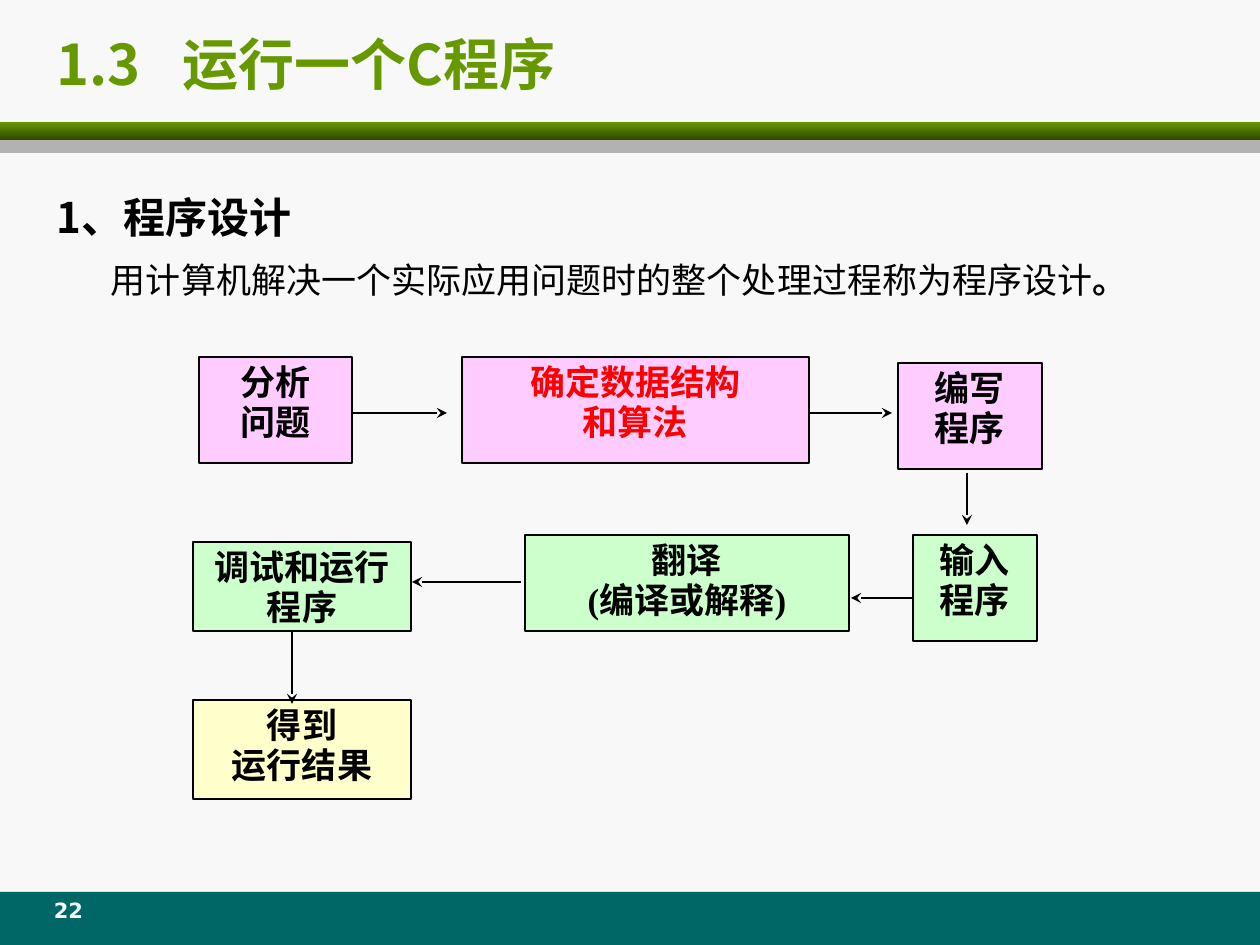
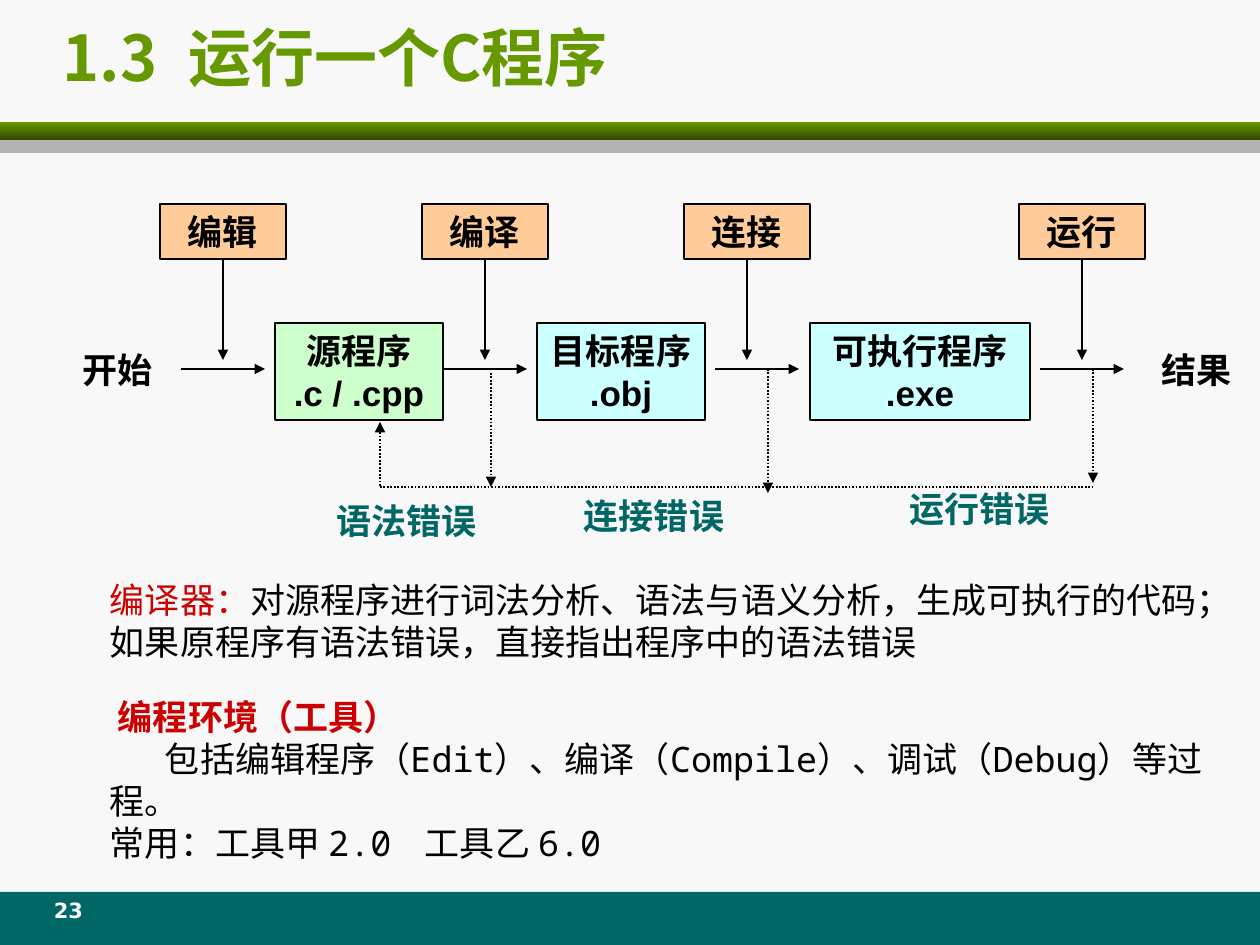
from lxml.etree import SubElement
from pptx import Presentation
from pptx.dml.color import RGBColor
from pptx.enum.dml import MSO_LINE
from pptx.enum.shapes import MSO_CONNECTOR, MSO_SHAPE
from pptx.enum.text import MSO_ANCHOR, MSO_AUTO_SIZE, PP_ALIGN
from pptx.oxml.ns import qn
from pptx.util import Inches, Pt

PX = 7257  # EMU in one px, 126 px to the inch

BLACK = RGBColor(0x00, 0x00, 0x00)
RED = RGBColor(0xFF, 0x00, 0x00)
DARK_RED = RGBColor(0xCC, 0x00, 0x00)
PAPER = RGBColor(0xF8, 0xF8, 0xF8)
TEAL = RGBColor(0x00, 0x66, 0x66)
GREEN = RGBColor(0x66, 0x99, 0x00)
DARK_GREEN = RGBColor(0x2F, 0x46, 0x00)
GREY = RGBColor(0xB2, 0xB2, 0xB2)
PINK = RGBColor(0xFF, 0xCC, 0xFF)
MINT = RGBColor(0xCC, 0xFF, 0xCC)
CREAM = RGBColor(0xFF, 0xFF, 0xCC)
AQUA = RGBColor(0xCC, 0xFF, 0xFF)
ORANGE = RGBColor(0xFF, 0xCC, 0x99)


def write(target, text, at=None, fill=None, border=0.75, inset=13, size=20,
          font="Arial", color=BLACK, bold=True, align=PP_ALIGN.CENTER,
          spacing=1.0, before=0, margin=0, indent=0, tab=None):
    """Add text to a shape, or to a new box on a slide when `at` is given.

    Each line of a string is a paragraph; a list of (text, color, bold)
    makes one paragraph of several runs.
    """
    shape = target
    if at:
        place = [n * PX for n in at]
        if fill is None:
            shape = target.shapes.add_textbox(*place)
        else:
            shape = target.shapes.add_shape(MSO_SHAPE.RECTANGLE, *place)
            shape.shadow.inherit = False
            shape.fill.solid()
            shape.fill.fore_color.rgb = fill
            shape.line.color.rgb = BLACK
            shape.line.width = Pt(border)
        frame = shape.text_frame
        frame.word_wrap = True
        frame.vertical_anchor = MSO_ANCHOR.TOP
        frame.margin_left = frame.margin_right = inset * PX
        frame.margin_top = frame.margin_bottom = 6 * PX
    frame = shape.text_frame
    if isinstance(text, str):
        paragraphs = [[(line, color, bold)] for line in text.split("\n")]
    else:
        paragraphs = [text]
    for runs in paragraphs:
        paragraph = frame.add_paragraph() if frame.text else frame.paragraphs[0]
        properties = paragraph._p.get_or_add_pPr()
        properties.set("marL", str(margin * PX))
        properties.set("indent", str(indent * PX))
        if tab:
            stops = SubElement(properties, qn("a:tabLst"))
            SubElement(stops, qn("a:tab"), pos=str(tab * PX), algn="l")
        paragraph.alignment = align
        paragraph.line_spacing = spacing
        if before:
            paragraph.space_before = Pt(before)
        for words, run_color, run_bold in runs:
            run = paragraph.add_run()
            run.text = words
            run.font.size = Pt(size)
            run.font.name = font
            run.font.bold = run_bold
            run.font.color.rgb = run_color
    return shape


def draw_line(slide, start, end, width=1.0, head="triangle", dotted=False, source=None):
    """Draw a line with an arrowhead at its end, joined to the foot of `source`."""
    line = slide.shapes.add_connector(
        MSO_CONNECTOR.STRAIGHT, *[n * PX for n in (*start, *end)])
    if source is not None:
        line.begin_connect(source, 2)
    line.line.color.rgb = BLACK
    line.line.width = Pt(width)
    if dotted:
        line.line.dash_style = MSO_LINE.ROUND_DOT
    if head:
        SubElement(line.line._get_or_add_ln(), qn("a:tailEnd"), type=head)
    SubElement(line.element.spPr, qn("a:effectLst"))


prs = Presentation()
prs.slide_width, prs.slide_height = Inches(10), Inches(7.5)
master = prs.slide_master
master.background.fill.solid()
master.background.fill.fore_color.rgb = PAPER
title_only = prs.slide_layouts[5]

# Titles and page numbers
slides = []
for page, title_at, title_size, title_tab in [
    (22, (44, 26, 1099, 74), 32, 123),
    (23, (50, 26, 1086, 60), 36, 139),
]:
    slide = prs.slides.add_slide(title_only)
    title = slide.shapes.title
    title.left, title.top, title.width, title.height = [n * PX for n in title_at]
    title.text_frame.auto_size = MSO_AUTO_SIZE.NONE
    title.text_frame.vertical_anchor = MSO_ANCHOR.MIDDLE
    write(title, "1.3\t运行一个C程序", size=title_size, font="Noto Sans CJK JP",
          color=GREEN, align=PP_ALIGN.LEFT, tab=title_tab)
    write(slide, str(page), at=(32, 892, 73, 42), size=12, font="DejaVu Sans", color=PAPER)
    slides.append(slide)
design, build = slides

# Bands shared through the master
for top, height, band_color in [(892, 53, TEAL), (122, 18, GREEN), (140, 13, GREY)]:
    band = design.shapes.add_shape(
        MSO_SHAPE.RECTANGLE, 0, top * PX, prs.slide_width, height * PX)
    band.shadow.inherit = False
    band.line.fill.background()
    if band_color == GREEN:
        band.fill.gradient()
        band.fill.gradient_angle = 270
        for stop, stop_color in zip(band.fill.gradient_stops, (GREEN, DARK_GREEN)):
            stop.color.rgb = stop_color
    else:
        band.fill.solid()
        band.fill.fore_color.rgb = band_color
    master.element.cSld.spTree.insert(2, band.element)

# Slide 1: definition of program design
definition = write(design, "1、程序设计", at=(44, 175, 1150, 139), size=24,
                   font="Noto Sans CJK SC", align=PP_ALIGN.LEFT, spacing=1.2)
write(definition,
      [("用计算机解决一个实际应用问题时的整个处理过程称为程序设计", BLACK, False),
       ("。", BLACK, True)],
      font="Times New Roman", align=PP_ALIGN.LEFT, spacing=1.2, before=5, margin=54)

# Slide 1: steps of the process
for step, at, fill, color, inset in [
    ("分析\n问题", (199, 357, 153, 106), PINK, BLACK, 13),
    ("确定数据结构\n和算法", (462, 357, 347, 106), PINK, RED, 3),
    ("编写\n程序", (898, 363, 144, 106), PINK, BLACK, 13),
    ("输入\n程序", (913, 535, 124, 106), MINT, BLACK, 13),
    ("翻译\n(编译或解释)", (525, 535, 324, 96), MINT, BLACK, 3),
    ("调试和运行\n程序", (193, 542, 218, 89), MINT, BLACK, 8),
    ("得到\n运行结果", (193, 700, 218, 99), CREAM, BLACK, 8),
]:
    write(design, step, at=at, fill=fill, color=color, inset=inset,
          font="Times New Roman", spacing=0.96)

for start, end in [
    ((352, 413), (447, 413)),
    ((809, 413), (892, 413)),
    ((967, 473), (967, 525)),
    ((913, 598), (851, 598)),
    ((521, 582), (412, 582)),
    ((292, 631), (292, 704)),
]:
    draw_line(design, start, end, width=0.75, head="stealth")

# Slide 2: files from start to result
for label, left in [("开始", 55), ("结果", 1134)]:
    write(build, label, at=(left, 342, 126, 55))
for file, left, width, fill in [
    ("源程序\n.c / .cpp", 275, 168, MINT),
    ("目标程序\n.obj", 537, 168, AQUA),
    ("可执行程序\n.exe", 810, 220, AQUA),
]:
    write(build, file, at=(left, 323, width, 97), fill=fill, border=1)

# Slide 2: actions, each pointing at the arrow between two files
for action, left, flow_left in [
    ("编辑", 160, 181), ("编译", 422, 443), ("连接", 684, 715), ("运行", 1019, 1040),
]:
    action_box = write(build, action, at=(left, 204, 126, 55), fill=ORANGE, border=1)
    draw_line(build, (left + 63, 259), (left + 63, 360), source=action_box)
    draw_line(build, (flow_left, 369), (flow_left + 84, 369))

# Slide 2: errors lead back to the source program
for x, top, bottom in [(491, 373, 487), (768, 369, 493), (1093, 369, 483)]:
    draw_line(build, (x, top), (x, bottom), dotted=True)
draw_line(build, (380, 487), (1093, 487), head=None, dotted=True)
draw_line(build, (380, 486), (380, 422), dotted=True)
for error, left, top, width in [
    ("语法错误", 312, 493, 189), ("连接错误", 550, 488, 208), ("运行错误", 878, 482, 204),
]:
    write(build, error, at=(left, top, width, 55), color=TEAL)

# Slide 2: compiler and programming environment
plain = dict(font="Noto Sans Mono", bold=False, align=PP_ALIGN.LEFT)
notes = write(
    build,
    [("编译器：", DARK_RED, False),
     ("对源程序进行词法分析、语法与语义分析，生成可执行的代码；"
      "如果原程序有语法错误，直接指出程序中的语法错误", BLACK, False)],
    at=(97, 572, 1128, 310), **plain)
write(notes, [("编程环境（工具）", DARK_RED, True)], spacing=1.8, margin=8, **plain)
write(notes, "包括编辑程序（Edit）、编译（Compile）、调试（Debug）等过程。", indent=55, **plain)
write(notes, "常用：工具甲 2.0\t工具乙 6.0", tab=408, **plain)

prs.save("out.pptx")
